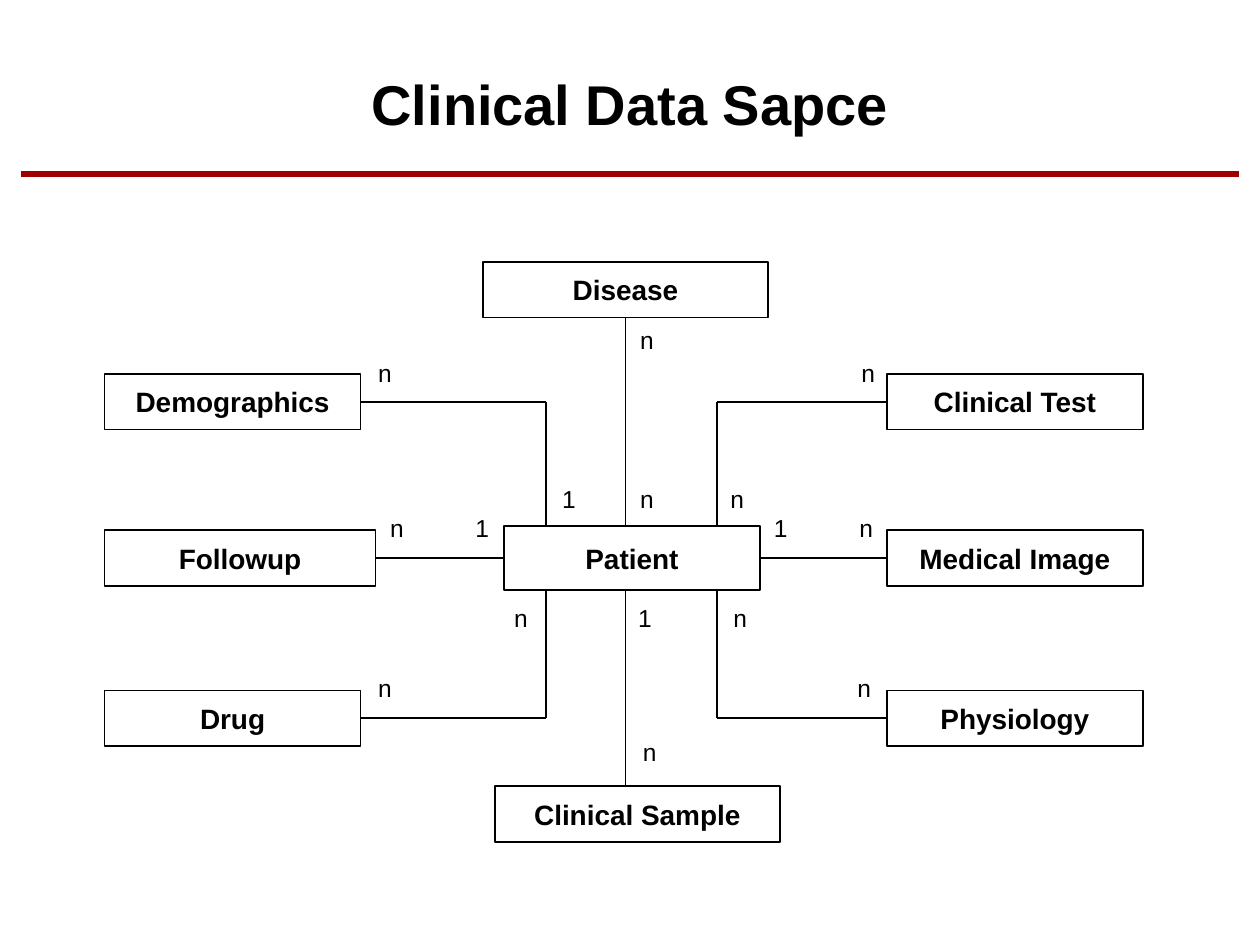
from lxml import etree
from pptx import Presentation
from pptx.dml.color import RGBColor
from pptx.enum.shapes import MSO_CONNECTOR, MSO_SHAPE
from pptx.enum.text import MSO_ANCHOR, PP_ALIGN
from pptx.oxml.ns import qn
from pptx.util import Cm, Pt

RECT = MSO_SHAPE.RECTANGLE
STRAIGHT = MSO_CONNECTOR.STRAIGHT
CENTER = PP_ALIGN.CENTER
MIDDLE = MSO_ANCHOR.MIDDLE
TOP, LEFT, BOTTOM, RIGHT = range(4)

FONT = "Arial"
BLACK, WHITE, RED = "000000", "FFFFFF", "9E0000"

TITLE = "Clinical Data Sapce"
BOX_H = 1.12
SIDE_W, END_W = 5.16, 5.74
LEFT_X, RIGHT_X = 2.11, 17.88
UPPER_Y, MIDDLE_Y, LOWER_Y = 7.54, 10.69, 13.92
PATIENT_TOP, PATIENT_H = 10.61, 1.28
PATIENT_BOTTOM = PATIENT_TOP + PATIENT_H
LEFT_DROP, MID_DROP, RIGHT_DROP = 11, 12.61, 14.45

ENTITIES = [
    ("Disease", 9.74, 5.28, END_W, BOX_H),
    ("Demographics", LEFT_X, UPPER_Y, SIDE_W, BOX_H),
    ("Followup", LEFT_X, MIDDLE_Y, 5.46, BOX_H),
    ("Drug", LEFT_X, LOWER_Y, SIDE_W, BOX_H),
    ("Clinical Test", RIGHT_X, UPPER_Y, SIDE_W, BOX_H),
    ("Medical Image", RIGHT_X, MIDDLE_Y, SIDE_W, BOX_H),
    ("Physiology", RIGHT_X, LOWER_Y, SIDE_W, BOX_H),
    ("Clinical Sample", 9.98, 15.85, END_W, BOX_H),
    ("Patient", 10.16, PATIENT_TOP, SIDE_W, PATIENT_H),
]
ELBOWS = [
    ("Demographics", RIGHT, LEFT_DROP, PATIENT_TOP),
    ("Drug", RIGHT, LEFT_DROP, PATIENT_BOTTOM),
    ("Clinical Test", LEFT, RIGHT_DROP, PATIENT_TOP),
    ("Physiology", LEFT, RIGHT_DROP, PATIENT_BOTTOM),
]
DIRECT = [("Followup", RIGHT, LEFT), ("Medical Image", LEFT, RIGHT)]
CARDINALITIES = [
    (6.84, [("n", 13.04)]),
    (7.52, [("n", 7.76), ("n", 17.5)]),
    (10.06, [("1", 11.47), ("n", 13.04), ("n", 14.86)]),
    (10.64, [("n", 8), ("1", 9.72), ("1", 15.74), ("n", 17.46)]),
    (12.45, [("n", 10.5), ("1", 13), ("n", 14.92)]),
    (13.87, [("n", 7.76), ("n", 17.42)]),
    (15.16, [("n", 13.1)]),
]

prs = Presentation()
prs.slide_width, prs.slide_height = Cm(25.4), Cm(19.05)
s = prs.slides.add_slide(prs.slide_layouts[6])


def rgb(color):
    return RGBColor.from_string(color)


def write(sp, text, size, bold=False):
    tf = sp.text_frame
    tf.word_wrap = True
    tf.vertical_anchor = MIDDLE
    tf.margin_left = tf.margin_right = tf.margin_top = tf.margin_bottom = 0
    p = tf.paragraphs[0]
    p.alignment = CENTER
    r = p.add_run()
    r.text = text
    r.font.name, r.font.size, r.font.bold = FONT, Pt(size), bold
    r.font.color.rgb = rgb(BLACK)


def add_label(text, x, y, w, h, size, bold=False):
    write(s.shapes.add_textbox(Cm(x), Cm(y), Cm(w), Cm(h)), text, size, bold)


def add_box(text, x, y, w, h):
    sp = s.shapes.add_shape(RECT, Cm(x), Cm(y), Cm(w), Cm(h))
    sp.shadow.inherit = False
    sp.fill.solid()
    sp.fill.fore_color.rgb = rgb(WHITE)
    sp.line.color.rgb = rgb(BLACK)
    sp.line.width = Pt(1)
    write(sp, text, 16, True)
    return sp


def add_line(x1, y1, x2, y2, color=BLACK, width=1):
    line = s.shapes.add_connector(STRAIGHT, Cm(x1), Cm(y1), Cm(x2), Cm(y2))
    line.line.color.rgb = rgb(color)
    line.line.width = Pt(width)
    etree.SubElement(line._element.spPr, qn("a:effectLst"))
    return line


add_label(TITLE, 0.64, 1.27, 24.13, 1.63, 32, True)
add_line(0.43, 3.51, 24.97, 3.51, RED, 3)

boxes = {name: add_box(name, *place) for name, *place in ENTITIES}

for name, side, drop, patient_edge in ELBOWS:
    box = boxes[name]
    y = (box.top + box.height / 2) / Cm(1)
    add_line(drop, y, drop, y).begin_connect(box, side)
    add_line(drop, y, drop, patient_edge)

for name, side, patient_side in DIRECT:
    line = add_line(0, 0, 1, 0)
    line.begin_connect(boxes[name], side)
    line.end_connect(boxes["Patient"], patient_side)

add_line(MID_DROP, 6.4, MID_DROP, PATIENT_TOP).begin_connect(boxes["Disease"], BOTTOM)
add_line(MID_DROP, PATIENT_BOTTOM, MID_DROP, 15.85)

for y, labels in CARDINALITIES:
    for text, x in labels:
        add_label(text, x - 0.4, y - 0.3, 0.8, 0.6, 14)

prs.save("out.pptx")
